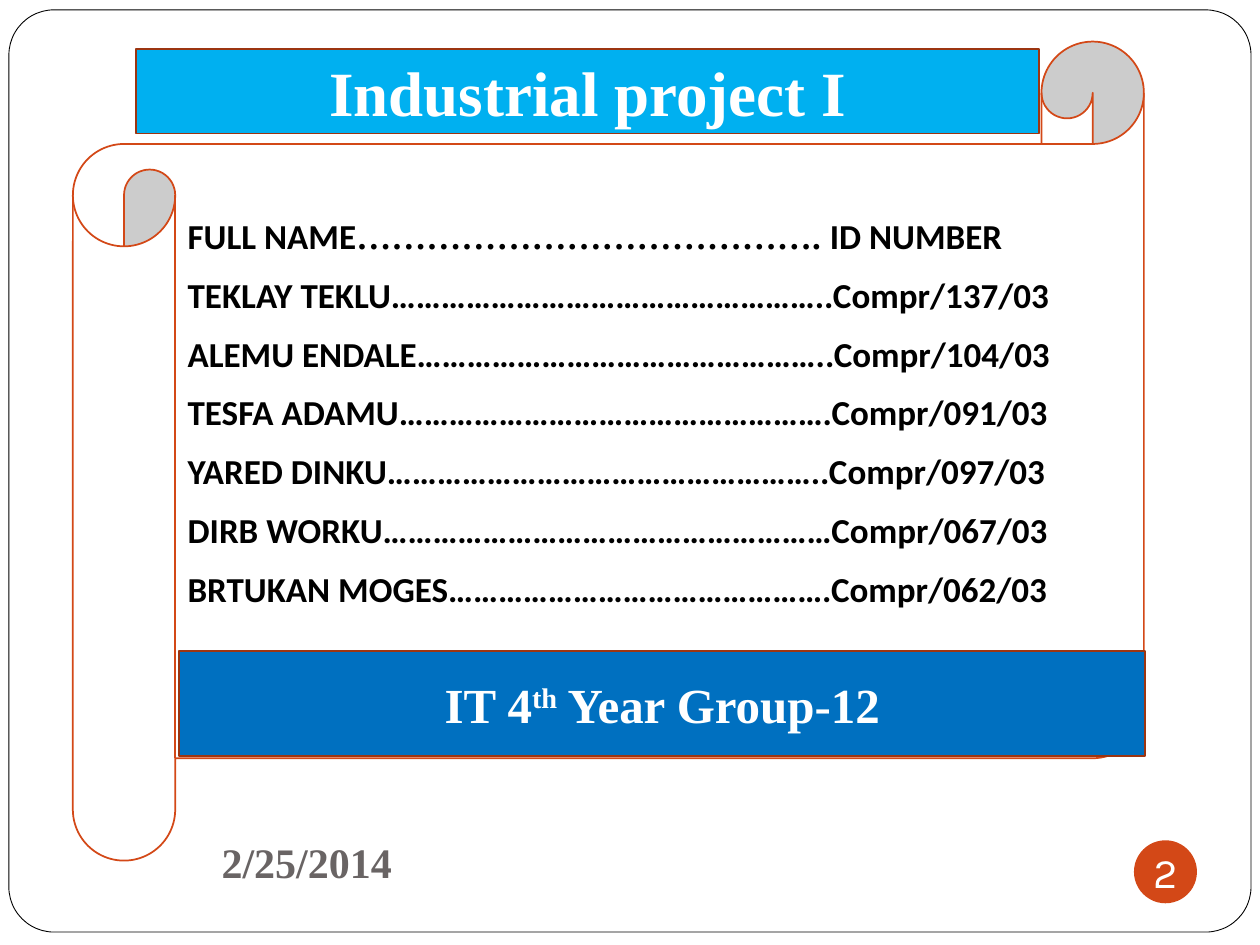
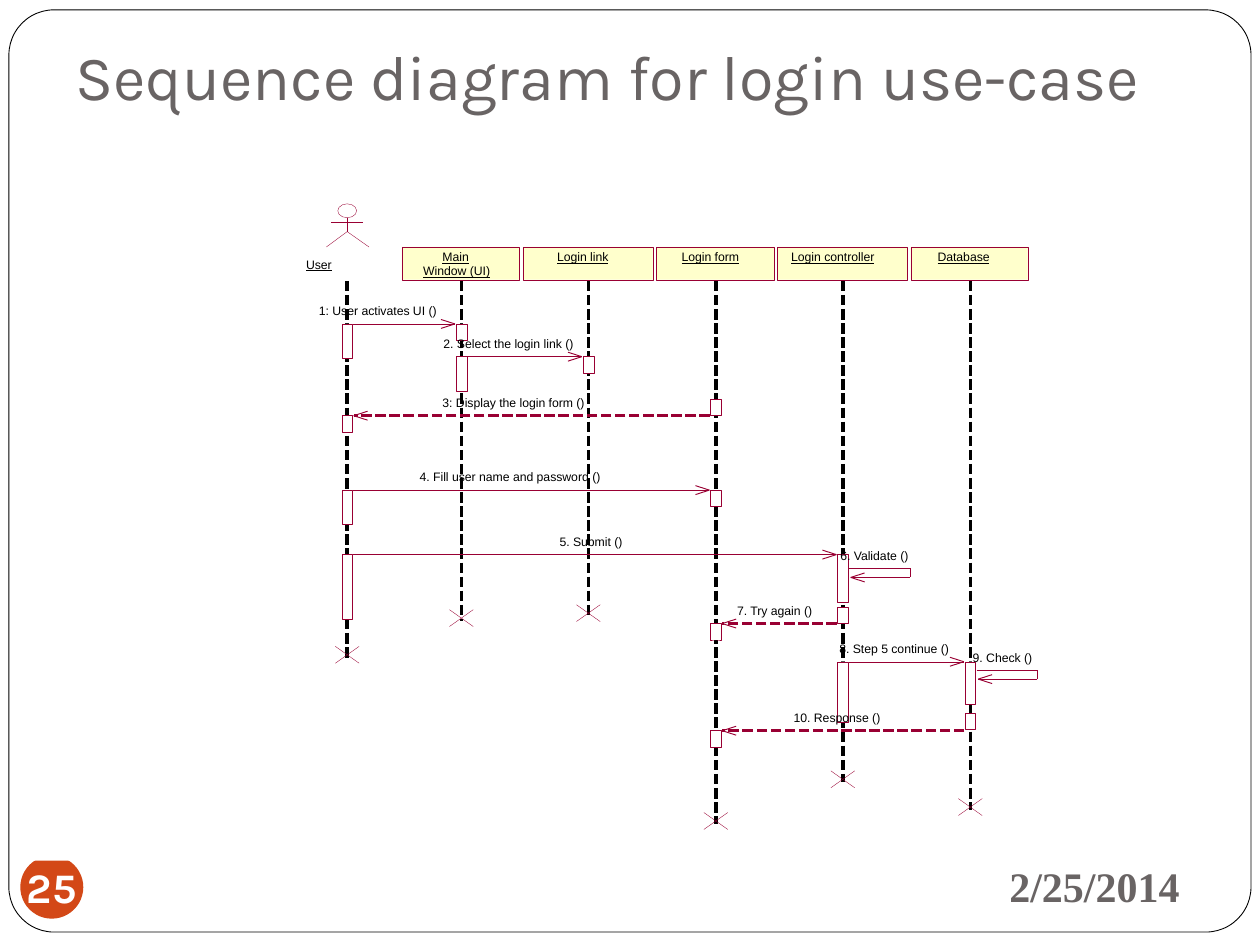
import pptx
import pptx.dml.color
import pptx.enum.dml
import pptx.enum.shapes
import pptx.enum.text
import pptx.util
from lxml import etree

Cm, Pt = pptx.util.Cm, pptx.util.Pt
SHAPE = pptx.enum.shapes.MSO_SHAPE
ANCHOR = pptx.enum.text.MSO_ANCHOR
ALIGN = pptx.enum.text.PP_ALIGN
rgb = pptx.dml.color.RGBColor.from_string

WHITE, BLACK, GREY = "FFFFFF", "000000", "696464"
ORANGE, RUST, SKY, BLUE = "D34817", "9C3511", "00B0F0", "0070C0"
CRIMSON, CREAM = "990033", "FFFFCC"
SERIF, SANS, TITLE_FONT, LIST_FONT = "Times New Roman", "Arial", "Karla", "Calibri"


def paint(shape, fill=None, line=None, weight=0.2):
    """Set fill and outline (None means none) and drop the shadow."""
    shape.shadow.inherit = False
    if fill:
        shape.fill.solid()
        shape.fill.fore_color.rgb = rgb(fill)
    else:
        shape.fill.background()
    if line:
        shape.line.color.rgb = rgb(line)
        shape.line.width = Pt(weight)
    else:
        shape.line.fill.background()


def add_run(paragraph, text, size, font, colour, bold=False, underline=False):
    run = paragraph.add_run()
    run.text = text
    run.font.size = Pt(size)
    run.font.name = font
    run.font.color.rgb = rgb(colour)
    run.font.bold = bold
    run.font.underline = underline
    return run


deck = pptx.Presentation()
deck.slide_width, deck.slide_height = Cm(25.4), Cm(19.05)
blank = deck.slide_layouts[6]
team, diagram = deck.slides.add_slide(blank), deck.slides.add_slide(blank)

# Shared frame, date and page number: date left, top; badge left, top; number, bold
furniture = [
    (team, 1.27, 16.71, 22.86, 16.94, "2", False),
    (diagram, 17.15, 17.2, 0.41, 17.25, "25", True),
]
for slide, date_left, date_top, badge_left, badge_top, number, bold in furniture:
    frame = slide.shapes.add_shape(SHAPE.ROUNDED_RECTANGLE, Cm(0.18), Cm(0.2), Cm(25.04), Cm(18.59))
    frame.adjustments[0] = 0.049
    paint(frame, WHITE, BLACK, 0.5)

    date = slide.shapes.add_textbox(Cm(date_left), Cm(date_top), Cm(6.88), Cm(1.32)).text_frame
    date.word_wrap = True
    date.vertical_anchor = ANCHOR.MIDDLE
    date.paragraphs[0].alignment = ALIGN.RIGHT
    add_run(date.paragraphs[0], "2/25/2014", 24, SERIF, GREY, bold=True)

    badge = slide.shapes.add_shape(SHAPE.OVAL, Cm(badge_left), Cm(badge_top), Cm(1.27), Cm(1.27))
    paint(badge, ORANGE)
    page = badge.text_frame
    page.margin_left = page.margin_right = page.margin_top = page.margin_bottom = 0
    page.word_wrap = False
    page.vertical_anchor = ANCHOR.MIDDLE
    page.paragraphs[0].alignment = ALIGN.CENTER
    add_run(page.paragraphs[0], number, 24, TITLE_FONT, WHITE, bold)

# Team slide: scroll with the member list
scroll = team.shapes.add_shape(SHAPE.HORIZONTAL_SCROLL, Cm(1.47), Cm(0.84), Cm(21.59), Cm(16.51))
scroll.adjustments[0] = 0.125
paint(scroll, WHITE, ORANGE, 1)
members = scroll.text_frame
members.word_wrap = True
members.vertical_anchor = ANCHOR.TOP
members.margin_top = Cm(1.42)
member_lines = [
    [("FULL NAME", LIST_FONT), ("…………………………………. ", SERIF), ("ID NUMBER", LIST_FONT)],
    [("TEKLAY TEKLU……………………………………………..Compr/137/03", LIST_FONT)],
    [("ALEMU ENDALE…………………………………………..Compr/104/03", LIST_FONT)],
    [("TESFA ADAMU…………………………………………….Compr/091/03", LIST_FONT)],
    [("YARED DINKU……………………………………………..Compr/097/03", LIST_FONT)],
    [("DIRB WORKU………………………………………………Compr/067/03", LIST_FONT)],
    [("BRTUKAN MOGES……………………………………….Compr/062/03", LIST_FONT)],
]
for index, parts in enumerate(member_lines):
    member = members.add_paragraph() if index else members.paragraphs[0]
    member.alignment = ALIGN.LEFT
    member.space_after = Pt(9.6)
    for text, font in parts:
        add_run(member, text, 20, font, BLACK, bold=True)

# Banners: left, top, width, height, fill, size, runs with their baseline shift
banners = [
    (2.74, 0.99, 18.21, 1.7, SKY, 36, [("Industrial project I", 0)]),
    (3.61, 13.13, 19.48, 2.11, BLUE, 28, [("IT 4", 0), ("th", 30000), (" Year Group-12", 0)]),
]
for left, top, width, height, fill, size, parts in banners:
    banner = team.shapes.add_shape(SHAPE.FLOWCHART_PROCESS, Cm(left), Cm(top), Cm(width), Cm(height))
    paint(banner, fill, RUST, 1)
    banner.text_frame.word_wrap = True
    banner.text_frame.vertical_anchor = ANCHOR.MIDDLE
    heading = banner.text_frame.paragraphs[0]
    heading.alignment = ALIGN.CENTER
    for text, baseline in parts:
        run = add_run(heading, text, size, SERIF, WHITE, bold=True)
        if baseline:
            run.font._element.set("baseline", str(baseline))

# Diagram slide: title and white board
title = diagram.shapes.add_textbox(Cm(1.27), Cm(0.76), Cm(22.86), Cm(1.78)).text_frame
title.word_wrap = True
title.vertical_anchor = ANCHOR.BOTTOM
title.margin_bottom = Cm(0.25)
add_run(title.paragraphs[0], "Sequence diagram for login use-case", 36, TITLE_FONT, GREY)

board = diagram.shapes.add_shape(SHAPE.RECTANGLE, Cm(0.23), Cm(2.9), Cm(20.96), Cm(14.45))
paint(board, WHITE)

# Participants: lifeline x and end, header left and width, activation bars (top, height)
SHORT, MEDIUM = 0.33, 0.69
participants = {
    "user": (7.0, 13.26, None, [(6.53, MEDIUM), (8.38, SHORT), (9.88, MEDIUM), (11.18, 1.3)]),
    "window": (9.3, 12.52, (8.1, 2.36), [(6.53, SHORT), (7.19, MEDIUM)]),
    "link": (11.86, 12.42, (10.54, 2.62), [(7.19, SHORT)]),
    "form": (14.43, 16.61, (13.23, 2.38), [(8.05, SHORT), (9.88, SHORT), (12.57, SHORT), (14.73, SHORT)]),
    "controller": (16.99, 15.77, (15.67, 2.62), [(11.18, 0.97), (12.24, SHORT), (13.34, 1.22)]),
    "database": (19.56, 16.33, (18.36, 2.36), [(13.34, 0.86), (14.38, SHORT)]),
}

# Messages: sender, receiver, y, is a reply, text, label left and width
messages = [
    ("user", "window", 6.53, False, "1: User activates UI ()", 6.43, 3.15),
    ("window", "link", 7.19, False, "2. Select the login link ()", 8.94, 3.38),
    ("form", "user", 8.38, True, "3: Display the login form ()", 8.92, 3.71),
    ("user", "form", 9.88, False, "4. Fill user name and password ()", 8.46, 4.7),
    ("user", "controller", 11.18, False, "5. Submit ()", 11.28, 1.65),
    ("controller", "controller", 11.46, False, "6. Validate ()", 16.94, 1.78),
    ("controller", "form", 12.57, True, "7. Try again ()", 14.86, 1.96),
    ("controller", "database", 13.34, False, "8. Step 5 continue ()", 16.92, 2.84),
    ("database", "database", 13.51, False, "9. Check ()", 19.61, 1.57),
    ("database", "form", 14.73, True, "10. Response ()", 16.0, 2.24),
]

# Labels: text, left, top, width, underlined
labels = [
    ("User", 6.17, 5.18, 0.66, True),
    ("Main", 8.92, 5.03, 0.66, True),
    ("Window (UI)", 8.53, 5.31, 1.75, True),
    ("Login link", 11.23, 5.03, 1.3, True),
    ("Login form", 13.74, 5.03, 1.47, True),
    ("Login controller", 15.95, 5.03, 2.11, True),
    ("Database", 18.9, 5.03, 1.35, True),
]

# Strokes: x1, y1, x2, y2, colour, weight, dashed; the first two are the actor's body and arms
strokes = [
    (7.0, 4.39, 7.0, 4.67, CRIMSON, 0.2, False),
    (6.68, 4.47, 7.32, 4.47, CRIMSON, 0.2, False),
]
for x, end, header, bars in participants.values():
    strokes.append((x, 5.66, x, end, BLACK, 0, True))
    cross = end - 0.06
    for rise in (-0.17, 0.17):
        strokes.append((x - 0.24, cross - rise, x + 0.24, cross + rise, CRIMSON, 0.2, False))

for sender, receiver, y, reply, text, left, width in messages:
    start, tip = participants[sender][0], participants[receiver][0]
    labels.append((text, left, y - 0.41, width, False))
    if sender == receiver:
        corner, tip_y, direction = start + 1.35, y + 0.18, -1
        tip += 0.16
        strokes.append((start + 0.13, y, corner, y, CRIMSON, 0.2, False))
        strokes.append((corner, y, corner, tip_y, CRIMSON, 0.2, False))
        strokes.append((corner, tip_y, tip, tip_y, CRIMSON, 0.2, False))
    else:
        direction = 1 if tip > start else -1
        tip, tip_y = tip - 0.13 * direction, y
        strokes.append((start + 0.12 * direction, y, tip, y, CRIMSON, 0 if reply else 0.2, reply))
    for spread in (-0.09, 0.09):
        strokes.append((tip, tip_y, tip - 0.28 * direction, tip_y + spread, CRIMSON, 0.55, False))

for x1, y1, x2, y2, colour, weight, dashed in strokes:
    stroke = diagram.shapes.add_connector(
        pptx.enum.shapes.MSO_CONNECTOR.STRAIGHT, Cm(x1), Cm(y1), Cm(x2), Cm(y2))
    stroke.line.color.rgb = rgb(colour)
    stroke.line.width = Pt(weight)
    if dashed:
        stroke.line.dash_style = pptx.enum.dml.MSO_LINE.SQUARE_DOT
    etree.SubElement(stroke._element.spPr, pptx.oxml.ns.qn("a:effectLst"))

head = diagram.shapes.add_shape(SHAPE.OVAL, Cm(6.81), Cm(4.11), Cm(0.38), Cm(0.28))
paint(head, None, CRIMSON)
legs = diagram.shapes.build_freeform(Cm(6.58), Cm(4.98))
legs.add_line_segments([(Cm(7.0), Cm(4.67)), (Cm(7.44), Cm(4.98))], close=False)
paint(legs.convert_to_shape(), None, CRIMSON)

for x, end, header, bars in participants.values():
    boxes = [(x - 0.11, top, 0.22, height, WHITE) for top, height in bars]
    if header:
        boxes.append((header[0], 4.98, header[1], 0.66, CREAM))
    for left, top, width, height, fill in boxes:
        box = diagram.shapes.add_shape(SHAPE.RECTANGLE, Cm(left), Cm(top), Cm(width), Cm(height))
        paint(box, fill, CRIMSON)

for text, left, top, width, underline in labels:
    label = diagram.shapes.add_textbox(Cm(left), Cm(top), Cm(width), Cm(0.66)).text_frame
    label.margin_left = label.margin_right = label.margin_top = label.margin_bottom = 0
    label.word_wrap = True
    add_run(label.paragraphs[0], text, 7, SANS, BLACK, underline=underline)

deck.save("out.pptx")
